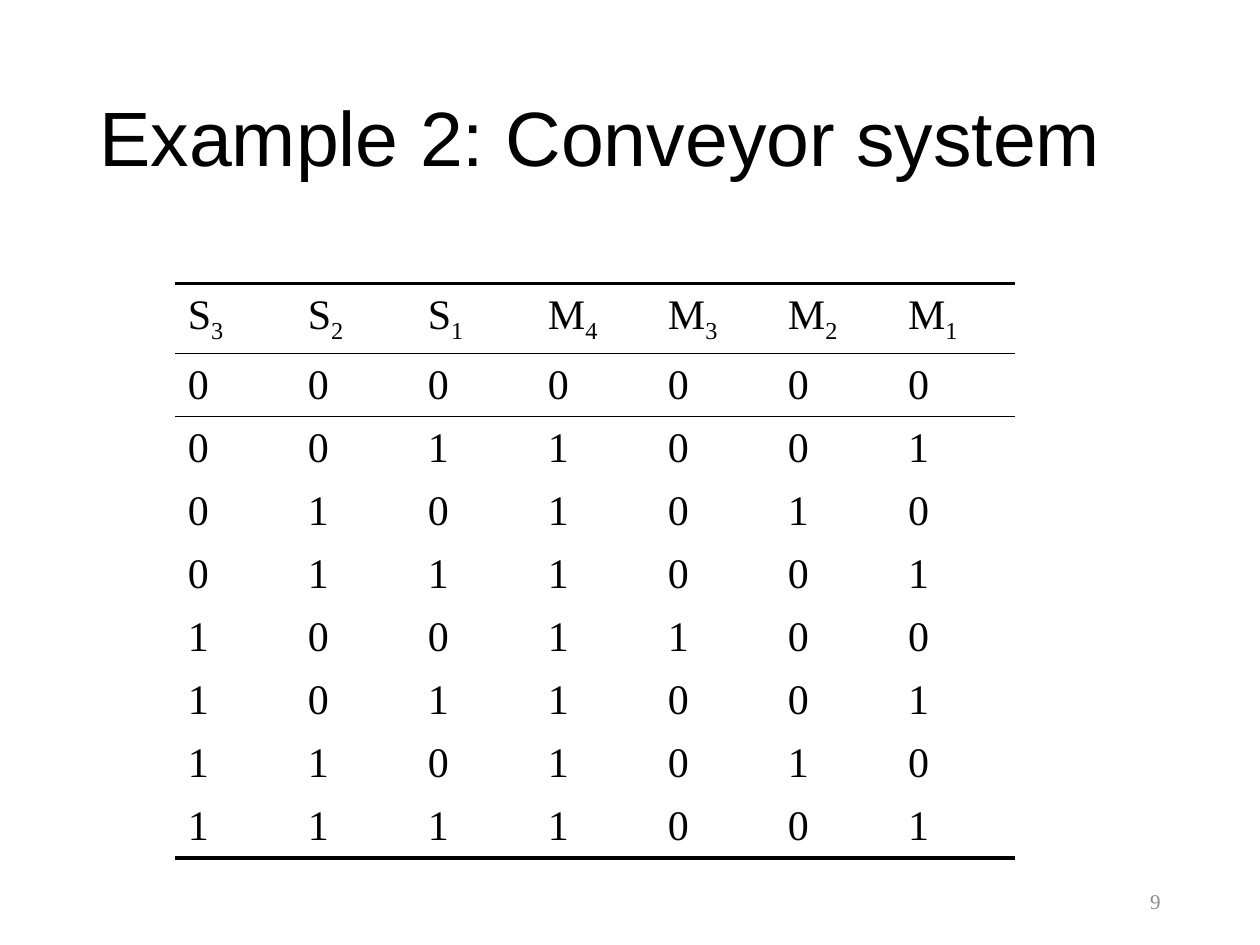
from lxml.etree import SubElement
from pptx import Presentation
from pptx.dml.color import RGBColor
from pptx.enum.text import MSO_ANCHOR, PP_ALIGN
from pptx.oxml.ns import qn
from pptx.util import Inches, Pt

COLORS = {"ink": "000000", "muted": "8C8C8C"}
SANS, SERIF = "Arial", "Times New Roman"
COLS, ROWS = 100, 75
PLAIN_STYLE = "{2D5ABB26-0587-4C30-8999-92F81FD0307C}"
SIGNALS = ["S3", "S2", "S1", "M4", "M3", "M2", "M1"]
STATES = ["0000000", "0011001", "0101010", "0111001",
          "1001100", "1011001", "1101010", "1111001"]
THICK, THIN = 2.25, 1

prs = Presentation()
prs.slide_width, prs.slide_height = Inches(10), Inches(7.5)


def grid(box):
    col, row = prs.slide_width / COLS, prs.slide_height / ROWS
    x, y, w, h = box
    return [int(v) for v in (x * col, y * row, w * col, h * row)]


def add_run(p, text, size, font, color="ink"):
    r = p.add_run()
    r.text = text
    r.font.size = Pt(size)
    r.font.name = font
    r.font.color.rgb = RGBColor.from_string(COLORS[color])
    return r


def add_line(s, box, text, size, font, color="ink", align=PP_ALIGN.LEFT, spacing=1.0):
    tf = s.shapes.add_textbox(*grid(box)).text_frame
    tf.word_wrap = True
    tf.vertical_anchor = MSO_ANCHOR.MIDDLE
    p = tf.paragraphs[0]
    p.alignment = align
    p.line_spacing = spacing
    add_run(p, text, size, font, color)


def add_border(cell, side, width):
    ln = SubElement(cell._tc.get_or_add_tcPr(), qn(f"a:{side}"), w=str(Pt(width)))
    fill = SubElement(ln, qn("a:solidFill"))
    SubElement(fill, qn("a:srgbClr"), val=COLORS["ink"])


def fill_cell(cell, text, top, bottom):
    cell.vertical_anchor = MSO_ANCHOR.MIDDLE
    p = cell.text_frame.paragraphs[0]
    before = SubElement(p._p.get_or_add_pPr(), qn("a:spcBef"))
    SubElement(before, qn("a:spcPct"), val="20000")
    add_run(p, text[0], 24, SERIF)
    if text[1:]:
        index = add_run(p, text[1:], 24, SERIF)
        index._r.get_or_add_rPr().set("baseline", "-25000")
    for side, width in (("lnT", top), ("lnB", bottom)):
        if width:
            add_border(cell, side, width)
    cell.fill.background()


def add_truth_table(s, box):
    rows = [SIGNALS, *STATES]
    x, y, w, h = grid(box)
    table = s.shapes.add_table(len(rows), len(SIGNALS), x, y, w, h).table
    table.first_row = table.horz_banding = False
    table._tbl.tblPr.find(qn("a:tableStyleId")).text = PLAIN_STYLE
    tops = {0: THICK, 1: THIN}
    bottoms = {0: THIN, len(rows) - 1: THICK}
    for i, values in enumerate(rows):
        for j, text in enumerate(values):
            fill_cell(table.cell(i, j), text, tops.get(i), bottoms.get(i))


def build_slide():
    s = prs.slides.add_slide(prs.slide_layouts[6])
    add_line(s, (6.9, 4, 86.2, 14.5), "Example 2: Conveyor system", 44, SANS, spacing=0.9)
    add_line(s, (70.6, 69.5, 22.5, 4), "9", 12, SERIF, "muted", PP_ALIGN.RIGHT)
    add_truth_table(s, (13.9, 22.5, 66.7, 44.5))


if __name__ == "__main__":
    build_slide()
    prs.save("out.pptx")
